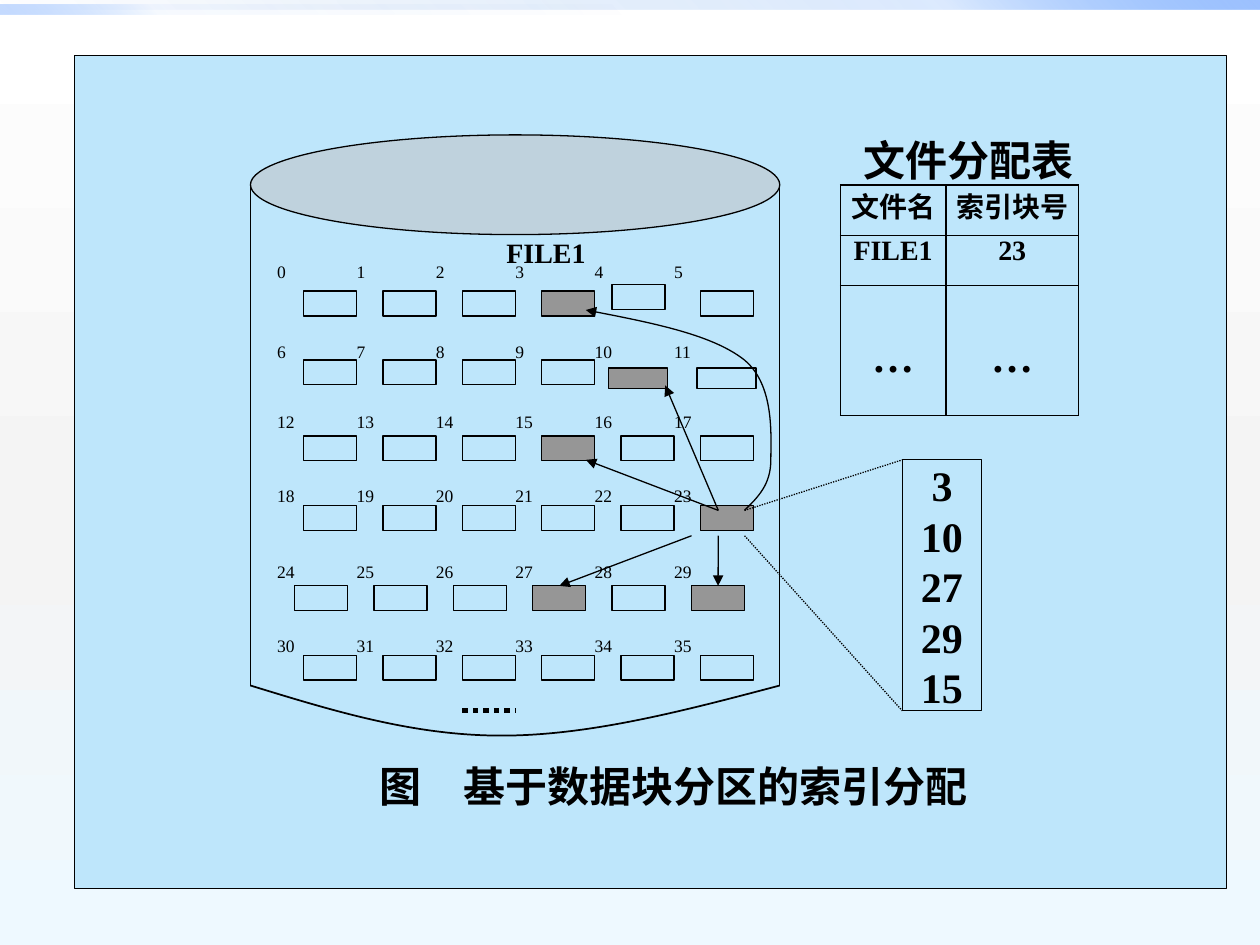
from dataclasses import dataclass

from lxml.etree import SubElement
from pptx import Presentation
from pptx.dml.color import RGBColor
from pptx.enum.dml import MSO_LINE
from pptx.enum.shapes import MSO_CONNECTOR, MSO_SHAPE
from pptx.enum.text import MSO_ANCHOR, PP_ALIGN
from pptx.oxml.ns import qn
from pptx.util import Cm, Pt

FONT = "Times New Roman"
COLORS = {
    "ink": "000000", "panel": "BEE6FB", "used": "969696", "lid": "C0C0C0",
    "white": "FFFFFF", "mist": "F4F4F4", "ice": "EEF9FF",
    "navy": "0058B7", "blue": "4F95FF", "sky": "9EC2FF",
}
PITCH, BLOCK_WIDTH, BLOCK_HEIGHT, LABEL_LEFT = 1.6, 1.07, 0.5, 5.59
USED_BLOCKS = {3, 10, 15, 23, 27, 29}


@dataclass
class BlockRow:
    label_top: float
    block_top: float
    block_left: float = 6.12


@dataclass
class Link:
    start: tuple
    end: tuple
    arrow: bool = False
    dotted: bool = False
    weight: float = 0.75
    target: int = -1


ROWS = [
    BlockRow(5.26, 5.87), BlockRow(6.88, 7.26), BlockRow(8.28, 8.79),
    BlockRow(9.78, 10.19), BlockRow(11.3, 11.81, 5.94), BlockRow(12.8, 13.21),
]
SHIFTED_BLOCKS = {
    4: (12.34, 5.74, BLOCK_WIDTH, BLOCK_HEIGHT),
    10: (12.27, 7.42, 1.19, 0.41),
    11: (14.05, 7.42, 1.19, 0.41),
}
LINKS = [
    Link((5.05, 3.73), (5.05, 13.82)),
    Link((15.72, 3.73), (15.72, 13.82)),
    Link((9.32, 14.33), (10.39, 14.33), dotted=True, weight=3),
    Link((13.94, 10.8), (11.28, 11.81), arrow=True, target=27),
    Link((14.48, 10.29), (11.81, 9.27), arrow=True),
    Link((14.48, 10.29), (13.41, 7.77), arrow=True),
    Link((14.48, 10.8), (14.48, 11.81), arrow=True, target=29),
    Link((15.01, 10.29), (18.19, 9.27), dotted=True),
    Link((15.01, 10.8), (18.19, 14.33), dotted=True),
]
CYLINDER_BASE = [(5.05, 13.82), (6.71, 14.33), (8.33, 14.83), (10.11, 14.83),
                 (11.89, 14.83), (13.79, 14.33), (15.72, 13.82)]
ARC_TO_BLOCK_3 = [(15.01, 10.29), (15.27, 10.03), (15.54, 9.78), (15.54, 9.27),
                  (15.54, 8.79), (15.62, 7.77), (15.01, 7.26),
                  (14.38, 6.76), (13.11, 6.5), (11.81, 6.25)]
TABLE_ROWS = [("文件名", "索引块号"), ("FILE1", "23"), ("…", "…")]


def color(name: str) -> RGBColor:
    """Return the named colour."""
    return RGBColor.from_string(COLORS[name])


def set_gradient(properties, stops: list, angle: int) -> None:
    """Replace a solid fill by a gradient of (position, colour, opacity) stops."""
    solid = properties.find(qn("a:solidFill"))
    gradient = properties.makeelement(qn("a:gradFill"), {"rotWithShape": "1"})
    stop_list = SubElement(gradient, qn("a:gsLst"))
    for position, name, opacity in stops:
        stop = SubElement(stop_list, qn("a:gs"), pos=str(position * 1000))
        shade = SubElement(stop, qn("a:srgbClr"), val=COLORS[name])
        SubElement(shade, qn("a:alpha"), val=str(opacity * 1000))
    SubElement(gradient, qn("a:lin"), ang=str(angle * 60000), scaled="0")
    properties.replace(solid, gradient)


def style_line(line, weight: float = 0.75, arrow: bool = False, dotted: bool = False) -> None:
    """Give a line its colour, weight, dash and arrowhead."""
    line.color.rgb = color("ink")
    line.width = Pt(weight)
    if dotted:
        line.dash_style = MSO_LINE.ROUND_DOT
    if arrow:
        SubElement(line._get_or_add_ln(), qn("a:tailEnd"), type="triangle")


def write_text(frame, text: str, size: int, bold: bool = True, align=PP_ALIGN.CENTER) -> None:
    """Fill a text frame and format every run."""
    frame.text = text
    for para in frame.paragraphs:
        para.alignment = align
        for span in para.runs:
            span.font.name, span.font.size, span.font.bold = FONT, Pt(size), bold
            span.font.color.rgb = color("ink")


def clear_margins(frame) -> None:
    """Wrap text from the top with no insets."""
    frame.word_wrap = True
    frame.vertical_anchor = MSO_ANCHOR.TOP
    frame.margin_left = frame.margin_right = frame.margin_top = frame.margin_bottom = 0


def add_label(page, place: tuple, text: str, size: int, bold=True, align=PP_ALIGN.CENTER) -> None:
    """Add a text box."""
    box = page.shapes.add_textbox(*map(Cm, place))
    clear_margins(box.text_frame)
    write_text(box.text_frame, text, size, bold, align)


def add_box(page, place: tuple, fill: str = "", kind=MSO_SHAPE.RECTANGLE):
    """Add an outlined shape, filled if a colour is named."""
    box = page.shapes.add_shape(kind, *map(Cm, place))
    box.shadow.inherit = False
    if fill:
        box.fill.solid()
        box.fill.fore_color.rgb = color(fill)
    else:
        box.fill.background()
    style_line(box.line)
    return box


def add_bar(page, place: tuple, stops: list, angle: int) -> None:
    """Add a borderless gradient bar."""
    bar = add_box(page, place, "sky")
    bar.line.fill.background()
    set_gradient(bar._element.spPr, stops, angle)


def add_curve(page, points: list, weight: float = 0.75, arrow: bool = False) -> None:
    """Add an open chain of cubic curves, three points after the start to each."""
    corners = [(Cm(x), Cm(y)) for x, y in points]
    builder = page.shapes.build_freeform(*corners[0])
    builder.add_line_segments(corners[1:], close=False)
    curve = builder.convert_to_shape()
    curve.shadow.inherit = False
    curve.fill.background()
    style_line(curve.line, weight, arrow)
    segments = curve._element.xpath(".//a:lnTo")
    for first in range(0, len(segments), 3):
        bezier = segments[first].makeelement(qn("a:cubicBezTo"))
        segments[first].addprevious(bezier)
        for segment in segments[first:first + 3]:
            bezier.append(segment[0])
            segment.getparent().remove(segment)


def add_link(page, link: Link, blocks: list) -> None:
    """Add a straight line, joined to its target block if it has one."""
    line = page.shapes.add_connector(MSO_CONNECTOR.STRAIGHT, *map(Cm, link.start + link.end))
    if link.target >= 0:
        line.end_connect(blocks[link.target], 0)
    style_line(line.line, link.weight, link.arrow, link.dotted)
    SubElement(line._element.spPr, qn("a:effectLst"))


def add_blocks(page) -> list:
    """Draw the numbered disk blocks and return their boxes."""
    blocks = []
    for number in range(36):
        row, column = ROWS[number // 6], number % 6
        place = SHIFTED_BLOCKS.get(number, (
            row.block_left + column * PITCH, row.block_top, BLOCK_WIDTH, BLOCK_HEIGHT))
        blocks.append(add_box(page, place, "used" if number in USED_BLOCKS else ""))
        add_label(page, (LABEL_LEFT + column * PITCH, row.label_top, BLOCK_WIDTH, 1),
                  str(number), 10, False, PP_ALIGN.JUSTIFY)
    return blocks


def add_allocation_table(page) -> None:
    """Draw the file allocation table."""
    frame = page.shapes.add_table(3, 2, Cm(16.94), Cm(3.73), Cm(4.8), Cm(4.65))
    table = frame.table
    table.first_row = table.horz_banding = False
    for column, width in zip(table.columns, (2.13, 2.67)):
        column.width = Cm(width)
    for row, height, texts in zip(table.rows, (1.01, 1.01, 2.63), TABLE_ROWS):
        row.height = Cm(height)
        for cell, text in zip(row.cells, texts):
            last = text == "…"
            write_text(cell.text_frame, text, 24 if last else 16)
            cell.margin_left = cell.margin_right = cell.margin_bottom = 0
            cell.margin_top = Cm(1.01) if last else 0
            properties = cell._tc.get_or_add_tcPr()
            for side in ("a:lnL", "a:lnR", "a:lnT", "a:lnB"):
                border = SubElement(properties, qn(side), w=str(Pt(0.75)))
                SubElement(SubElement(border, qn("a:solidFill")), qn("a:srgbClr"), val=COLORS["ink"])
            cell.fill.background()


def main() -> None:
    """Build the slide on indexed allocation."""
    deck = Presentation()
    deck.slide_width, deck.slide_height = Cm(25.4), Cm(19.05)
    page = deck.slides.add_slide(deck.slide_layouts[6])
    page.background.fill.solid()
    set_gradient(page._element.xpath(".//p:bgPr")[0],
                 [(0, "white", 100), (55, "mist", 100), (100, "ice", 100)], 90)
    add_bar(page, (0, 0, 25.4, 0.2), [(0, "navy", 0), (75, "blue", 20), (100, "sky", 100)], 315)
    add_bar(page, (0, 0.1, 12.7, 0.2), [(0, "navy", 0), (75, "blue", 5), (100, "sky", 60)], 135)
    add_box(page, (1.5, 1.12, 23.22, 16.79), "panel")
    lid = add_box(page, (5.05, 2.72, 10.67, 2.01), "lid", MSO_SHAPE.OVAL)
    SubElement(lid._element.spPr.xpath("./a:solidFill/a:srgbClr")[0], qn("a:alpha"), val="50000")
    add_curve(page, CYLINDER_BASE, weight=1)
    blocks = add_blocks(page)
    add_label(page, (10.21, 4.75, 2.13, 1), "FILE1", 16, align=PP_ALIGN.JUSTIFY)
    add_label(page, (16.94, 2.72, 5.16, 1.01), "文件分配表", 24)
    add_allocation_table(page)
    index_block = add_box(page, (18.19, 9.27, 1.6, 5.06))
    clear_margins(index_block.text_frame)
    write_text(index_block.text_frame, "3\n10\n27\n29\n15", 24)
    for link in LINKS:
        add_link(page, link, blocks)
    add_curve(page, ARC_TO_BLOCK_3, arrow=True)
    add_label(page, (5.05, 15.34, 17.04, 1.5), "图　基于数据块分区的索引分配", 24)
    deck.save("out.pptx")


if __name__ == "__main__":
    main()
